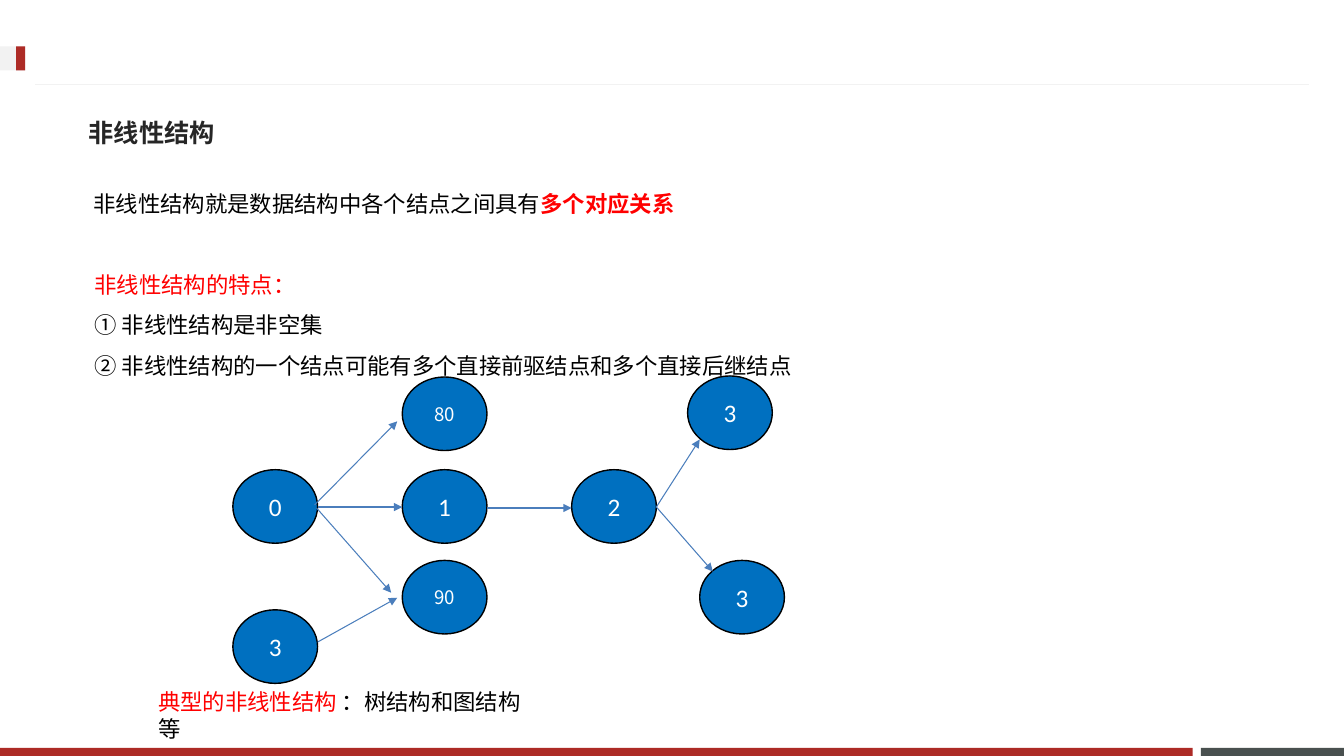
from lxml import etree
from pptx import Presentation
from pptx import util as u
from pptx.dml.color import RGBColor
from pptx.enum import shapes, text
from pptx.oxml import ns

PX = 9144
CJK = "Noto Sans CJK SC"
RED, BLACK, WHITE = "FF0000", "000000", "FFFFFF"
CRIMSON, PALE = "AD2B26", "F2F2F2"
NODE_SIZE = (84, 73)


def px(*lengths):
    """Turn lengths in px into EMU."""
    return [u.Emu(length * PX) for length in lengths]


def rgb(code):
    """Turn a hex string into a colour."""
    return RGBColor.from_string(code)


def set_font(font, size, name, color=BLACK):
    """Set the size, colour and typeface, East Asian included."""
    font.size, font.name = u.Pt(size), name
    font.color.rgb = rgb(color)
    etree.SubElement(font._element, ns.qn("a:ea"), typeface=name)


def add_filled(slide, kind, box, color):
    """Add a flat preset shape without outline."""
    filled = slide.shapes.add_shape(kind, *px(*box))
    filled.shadow.inherit = False
    filled.fill.solid()
    filled.fill.fore_color.rgb = rgb(color)
    filled.line.fill.background()
    return filled


def add_line(slide, start, end, color, arrow=False):
    """Add a thin straight line, with an arrowhead at its end if wanted."""
    line = slide.shapes.add_connector(shapes.MSO_CONNECTOR.STRAIGHT, *px(*start, *end))
    line.line.width = u.Pt(0.75)
    line.line.color.rgb = rgb(color)
    if arrow:
        etree.SubElement(line.line._get_or_add_ln(), ns.qn("a:tailEnd"), type="triangle")
    etree.SubElement(line._element.spPr, ns.qn("a:effectLst"))


def add_frame(slide):
    """Draw the header mark, the header rule and the footer bars."""
    bars = [
        ((1191, 742, 142, 8), "49504F"),
        ((0, 742, 1183, 8), CRIMSON),
        ((0, 46, 25, 24), PALE),
        ((16, 46, 9, 24), CRIMSON),
    ]
    for box, color in bars:
        add_filled(slide, shapes.MSO_SHAPE.RECTANGLE, box, color)
    add_line(slide, (35, 84), (1298, 84), PALE)


def add_heading(slide, box, words):
    """Place and format the title."""
    title = slide.shapes.title
    title.left, title.top, title.width, title.height = px(*box)
    title.text_frame.text = words
    title.text_frame.vertical_anchor = text.MSO_ANCHOR.MIDDLE
    heading = title.text_frame.paragraphs[0]
    heading.alignment = text.PP_ALIGN.LEFT
    set_font(heading.font, 18, "Noto Sans CJK JP", "262626")
    heading.font.bold = True


def add_text(slide, box, lines, wrap=False, spacing=None):
    """Add paragraphs, each a list of (words, colour, bold) runs."""
    frame = slide.shapes.add_textbox(*px(*box)).text_frame
    frame.word_wrap = wrap
    for index, pieces in enumerate(lines):
        line = frame.add_paragraph() if index else frame.paragraphs[0]
        line.line_spacing = spacing
        set_font(line.font, 16, CJK)
        for words, color, bold in pieces:
            run = line.add_run()
            run.text = words
            run.font.bold = bold
            run.font.color.rgb = rgb(color)


def add_node(slide, left, top, label):
    """Add one labelled node of the graph."""
    node = add_filled(slide, shapes.MSO_SHAPE.OVAL, (left, top, *NODE_SIZE), "0070C0")
    node.line.color.rgb = rgb(BLACK)
    node.line.width = u.Pt(1)
    node.text_frame.text = label
    node.text_frame.vertical_anchor = text.MSO_ANCHOR.MIDDLE
    caption = node.text_frame.paragraphs[0]
    caption.alignment = text.PP_ALIGN.CENTER
    size, name = (13.3, CJK) if len(label) > 1 else (18, "Calibri")
    set_font(caption.font, size, name, WHITE)


def add_graph(slide, left, top):
    """Draw the nodes and arrows relative to the upper left corner."""
    nodes = [
        (0, 93, "0"), (168, 93, "1"), (336, 93, "2"), (463, 183, "3"),
        (168, 1, "80"), (168, 183, "90"), (451, 0, "3"), (0, 232, "3"),
    ]
    arrows = [
        ((84, 130), (168, 130)), ((83, 131), (157, 215)), ((420, 130), (476, 194)),
        ((81, 128), (163, 45)), ((252, 131), (336, 131)), ((420, 130), (463, 63)),
        ((84, 264), (163, 220)),
    ]
    for x, y, label in nodes:
        add_node(slide, left + x, top + y, label)
    for ends in arrows:
        start, end = [(left + x, top + y) for x, y in ends]
        add_line(slide, start, end, "4B7EBC", arrow=True)


def main():
    """Build and save the slide."""
    deck = Presentation()
    deck.slide_width, deck.slide_height = px(1333, 750)
    slide = deck.slides.add_slide(deck.slide_layouts[5])
    add_frame(slide)
    add_heading(slide, (78, 103, 1170, 57), "非线性结构")
    add_text(slide, (83, 184, 604, 37), [[
        ("非线性结构就是数据结构中各个结点之间具有", BLACK, False),
        ("多个对应关系", RED, True),
    ]])
    add_text(slide, (84, 251, 716, 167), [
        [("非线性结构的特点：", RED, False)],
        [("① 非线性结构是非空集", BLACK, False)],
        [("② 非线性结构的一个结点可能有多个直接前驱结点和多个直接后继结点", BLACK, False)],
    ], spacing=1.5)
    add_graph(slide, 231, 373)
    add_text(slide, (147, 678, 398, 37), [[
        ("典型的非线性结构 ", RED, False),
        ("：树结构和图结构等", BLACK, False),
    ]], wrap=True)
    deck.save("out.pptx")


if __name__ == "__main__":
    main()
